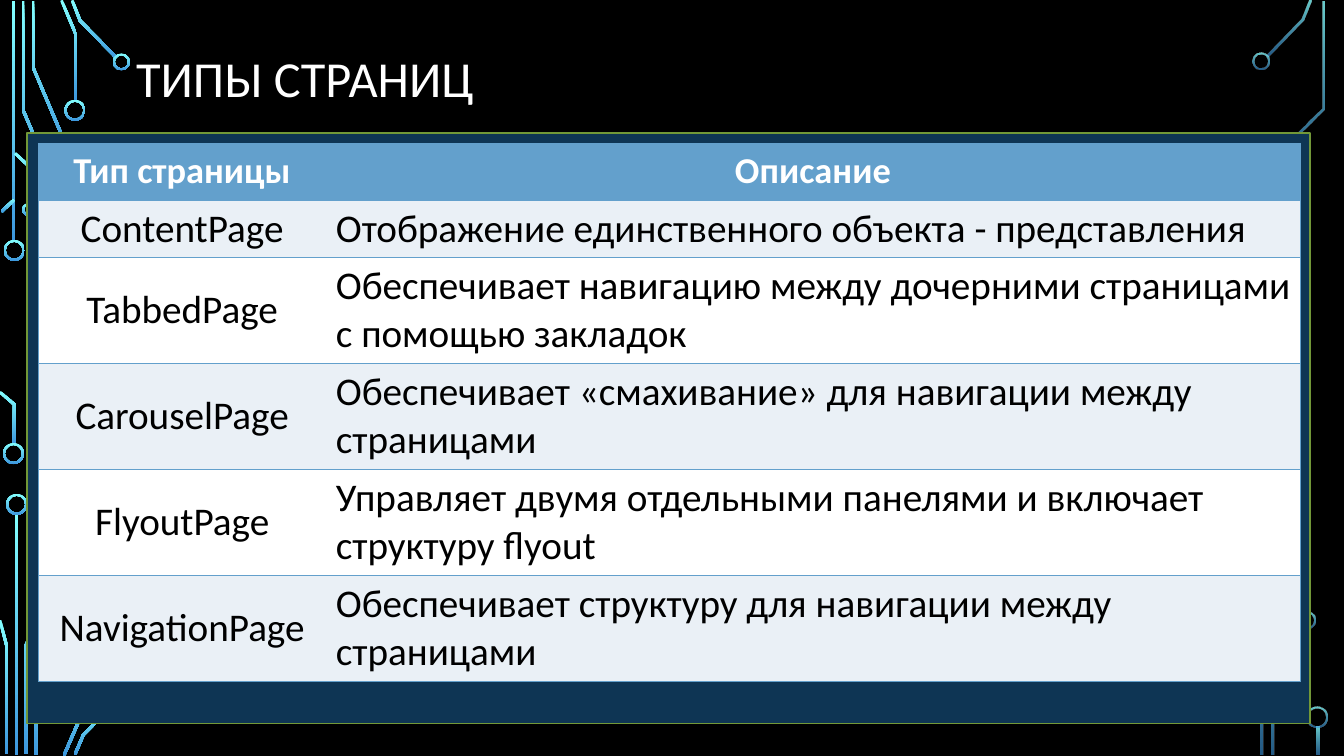
import math
from dataclasses import dataclass

import lxml.etree
import pptx
import pptx.dml.color
import pptx.enum.shapes
import pptx.enum.text
import pptx.oxml.ns
import pptx.util

Cm = pptx.util.Cm
RGB = pptx.dml.color.RGBColor.from_string
qn = pptx.oxml.ns.qn
SHAPES = pptx.enum.shapes.MSO_SHAPE
ANCHOR = pptx.enum.text.MSO_ANCHOR
ALIGN = pptx.enum.text.PP_ALIGN


@dataclass(frozen=True)
class Theme:
    font: str = "Calibri"
    title_size: int = 36
    header_size: int = 26
    body_size: int = 28
    background: str = "000000"
    light: str = "FFFFFF"
    dark: str = "000000"
    panel: str = "0E3554"
    panel_line: str = "729838"
    accent: str = "63A0CC"
    band: str = "EAF0F6"
    glow: tuple = ("82FFFF", "3D97DE")
    trace_width: float = 0.07
    ring_width: float = 0.05


@dataclass(frozen=True)
class Ring:
    x: float
    y: float
    diameter: float = 0.53


@dataclass(frozen=True)
class Circuit:
    """Centrelines and rings in cm, with the opacity (percent) of each gradient end."""
    opacity: tuple
    traces: list
    rings: list


@dataclass(frozen=True)
class PageType:
    name: str
    description: str


THEME = Theme()

LEFT_CIRCUIT = Circuit(
    (100, 100),
    [
        [(0.34, 0.03), (0.34, 6.1)],
        [(1.55, 5.04), (0.58, 2.77), (0.58, 0.03)],
        [(1.8, 3.98), (0.83, 1.69), (0.83, 0.03)],
        [(1.9, 2.54), (1.9, 0.84), (1.55, 0.01)],
        [(2.93, 1.45), (2.02, 0.52), (1.82, 0.01)],
        [(0.04, 5.33), (0.36, 5.03)],
        [(0.36, 11.2), (0.36, 10.19), (0, 9.88)],
        [(0.74, 5.16), (0.74, 4.2), (0.38, 3.86)],
        [(0.42, 12.95), (0.42, 19.02)],
        [(0.65, 19), (0.65, 16.27), (1.61, 14.01)],
        [(0.17, 19), (0.17, 16.28), (0, 15.63)],
        [(0.9, 19.02), (0.9, 17.34), (1.87, 15.07)],
        [(1.61, 19.04), (1.97, 18.21), (1.97, 16.51)],
        [(1.89, 19.01), (2.1, 18.52), (3, 17.6)],
    ],
    [Ring(0.36, 6.31), Ring(0.34, 11.43), Ring(1.89, 2.78),
     Ring(3.06, 1.56, 0.43), Ring(0.72, 5.28, 0.32), Ring(0.42, 12.71)],
)
RIGHT_CIRCUIT = Circuit(
    (80, 60),
    [
        [(31.93, 1.41), (32.83, 0.5), (33.03, 0.01)],
        [(32.07, 19.02), (32.07, 17.61), (32.84, 15.84)],
        [(32.56, 4.29), (32.56, 3.52), (33.34, 2.73), (33.34, 0.03)],
        [(31.81, 19.02), (31.81, 15.58), (32.6, 14.82), (32.6, 14.02)],
        [(33.21, 18.31), (33.21, 19.02)],
    ],
    [Ring(31.79, 1.54, 0.43), Ring(32.93, 15.63, 0.43), Ring(33.18, 18.08)],
)

HEADINGS = PageType("Тип страницы", "Описание")
PAGE_TYPES = [
    PageType("ContentPage", "Отображение единственного объекта - представления"),
    PageType("TabbedPage", "Обеспечивает навигацию между дочерними страницами с помощью закладок"),
    PageType("CarouselPage", "Обеспечивает «смахивание» для навигации между страницами"),
    PageType("FlyoutPage", "Управляет двумя отдельными панелями и включает структуру flyout"),
    PageType("NavigationPage", "Обеспечивает структуру для навигации между страницами"),
]
COLUMN_WIDTHS = (7.24, 24.56)
ROW_HEIGHTS = (1.41, 1.45, 2.67, 2.67, 2.67, 2.67)


def trace_outline(points: list, width: float) -> list:
    """Widen a centreline to a closed outline with mitred corners."""
    directions = [math.atan2(y2 - y1, x2 - x1)
                  for (x1, y1), (x2, y2) in zip(points, points[1:])]
    before, after = directions[:1] + directions, directions + directions[-1:]
    sides = ([], [])
    for (x, y), start, end in zip(points, before, after):
        turn = math.remainder(end - start, math.tau) / 2
        reach = width / 2 / math.cos(turn)
        normal = start + turn + math.pi / 2
        for side, sign in zip(sides, (1, -1)):
            side.append((x + sign * reach * math.cos(normal), y + sign * reach * math.sin(normal)))
    return sides[0] + sides[1][::-1]


def apply_glow(shape, opacity: tuple) -> None:
    shape.shadow.inherit = False
    shape.line.fill.background()
    shape.fill.gradient()
    shape.fill.gradient_angle = 270
    for stop, position, color in zip(shape.fill.gradient_stops, (0, 1), THEME.glow):
        stop.position = position
        stop.color.rgb = RGB(color)
    stop_colors = shape._element.spPr.find(qn("a:gradFill")).iter(qn("a:srgbClr"))
    for color, percent in zip(stop_colors, opacity):
        if percent < 100:
            lxml.etree.SubElement(color, qn("a:alpha"), val=str(percent * 1000))


def draw_trace(slide, points: list, opacity: tuple) -> None:
    (x1, y1), (x2, y2) = points[0], points[-1]
    width = THEME.trace_width
    if x1 == x2:
        trace = slide.shapes.add_shape(
            SHAPES.RECTANGLE, Cm(x1 - width / 2), Cm(y1), Cm(width), Cm(y2 - y1))
    else:
        start, *others = [(Cm(x), Cm(y)) for x, y in trace_outline(points, width)]
        builder = slide.shapes.build_freeform(*start)
        builder.add_line_segments(others, close=True)
        trace = builder.convert_to_shape()
    apply_glow(trace, opacity)


def draw_ring(slide, ring: Ring, opacity: tuple) -> None:
    radius, size = ring.diameter / 2, Cm(ring.diameter)
    donut = slide.shapes.add_shape(
        SHAPES.DONUT, Cm(ring.x - radius), Cm(ring.y - radius), size, size)
    donut.adjustments[0] = THEME.ring_width / ring.diameter
    apply_glow(donut, opacity)


def draw_panel(slide) -> None:
    panel = slide.shapes.add_shape(SHAPES.RECTANGLE, Cm(0.69), Cm(3.35), Cm(32.33), Cm(14.88))
    panel.shadow.inherit = False
    panel.fill.solid()
    panel.fill.fore_color.rgb = RGB(THEME.panel)
    panel.line.color.rgb = RGB(THEME.panel_line)
    panel.line.width = pptx.util.Pt(1.25)


def style_font(font, size: int, color: str, bold: bool = False) -> None:
    font.name, font.size, font.bold = THEME.font, pptx.util.Pt(size), bold
    font.color.rgb = RGB(color)


def draw_title(slide) -> None:
    frame = slide.shapes.add_textbox(Cm(3.18), Cm(0), Cm(29.84), Cm(4.11)).text_frame
    frame.word_wrap = True
    frame.vertical_anchor = ANCHOR.MIDDLE
    title = frame.paragraphs[0]
    title.text = "ТИПЫ СТРАНИЦ"
    title.line_spacing = 0.9
    style_font(title.font, THEME.title_size, THEME.light)


def add_borders(cell, sides: str) -> None:
    properties = cell._tc.get_or_add_tcPr()
    for side in sides:
        line = lxml.etree.SubElement(properties, qn(f"a:ln{side}"), w=str(pptx.util.Pt(1)))
        fill = lxml.etree.SubElement(line, qn("a:solidFill"))
        lxml.etree.SubElement(fill, qn("a:srgbClr"), val=THEME.accent)


def draw_page_types(slide) -> None:
    rows = [HEADINGS, *PAGE_TYPES]
    table = slide.shapes.add_table(
        len(rows), len(COLUMN_WIDTHS), Cm(0.97), Cm(3.63),
        Cm(sum(COLUMN_WIDTHS)), Cm(sum(ROW_HEIGHTS))).table
    # Table style without fills and grid lines
    table._tbl.tblPr.find(qn("a:tableStyleId")).text = "{2D5ABB26-0587-4C30-8999-92F81FD0307C}"
    table.horz_banding = False
    for column, width in zip(table.columns, COLUMN_WIDTHS):
        column.width = Cm(width)
    for r, (page, height) in enumerate(zip(rows, ROW_HEIGHTS)):
        is_header = r == 0
        table.rows[r].height = Cm(height)
        row_fill = THEME.accent if is_header else THEME.band if r % 2 else THEME.light
        for c, (text, sides) in enumerate(((page.name, "LTB"), (page.description, "RTB"))):
            cell = table.cell(r, c)
            add_borders(cell, sides)
            cell.fill.solid()
            cell.fill.fore_color.rgb = RGB(row_fill)
            cell.vertical_anchor = ANCHOR.TOP if is_header else ANCHOR.MIDDLE
            cell.text = text
            paragraph = cell.text_frame.paragraphs[0]
            paragraph.alignment = ALIGN.CENTER if is_header or c == 0 else ALIGN.LEFT
            if is_header:
                style_font(paragraph.font, THEME.header_size, THEME.light, bold=True)
            else:
                style_font(paragraph.font, THEME.body_size, THEME.dark)


def main() -> None:
    presentation = pptx.Presentation()
    presentation.slide_width, presentation.slide_height = Cm(33.87), Cm(19.05)
    slide = presentation.slides.add_slide(presentation.slide_layouts[6])
    slide.background.fill.solid()
    slide.background.fill.fore_color.rgb = RGB(THEME.background)
    for circuit in (LEFT_CIRCUIT, RIGHT_CIRCUIT):
        for points in circuit.traces:
            draw_trace(slide, points, circuit.opacity)
        for ring in circuit.rings:
            draw_ring(slide, ring, circuit.opacity)
    draw_panel(slide)
    draw_title(slide)
    draw_page_types(slide)
    presentation.save("out.pptx")


if __name__ == "__main__":
    main()
